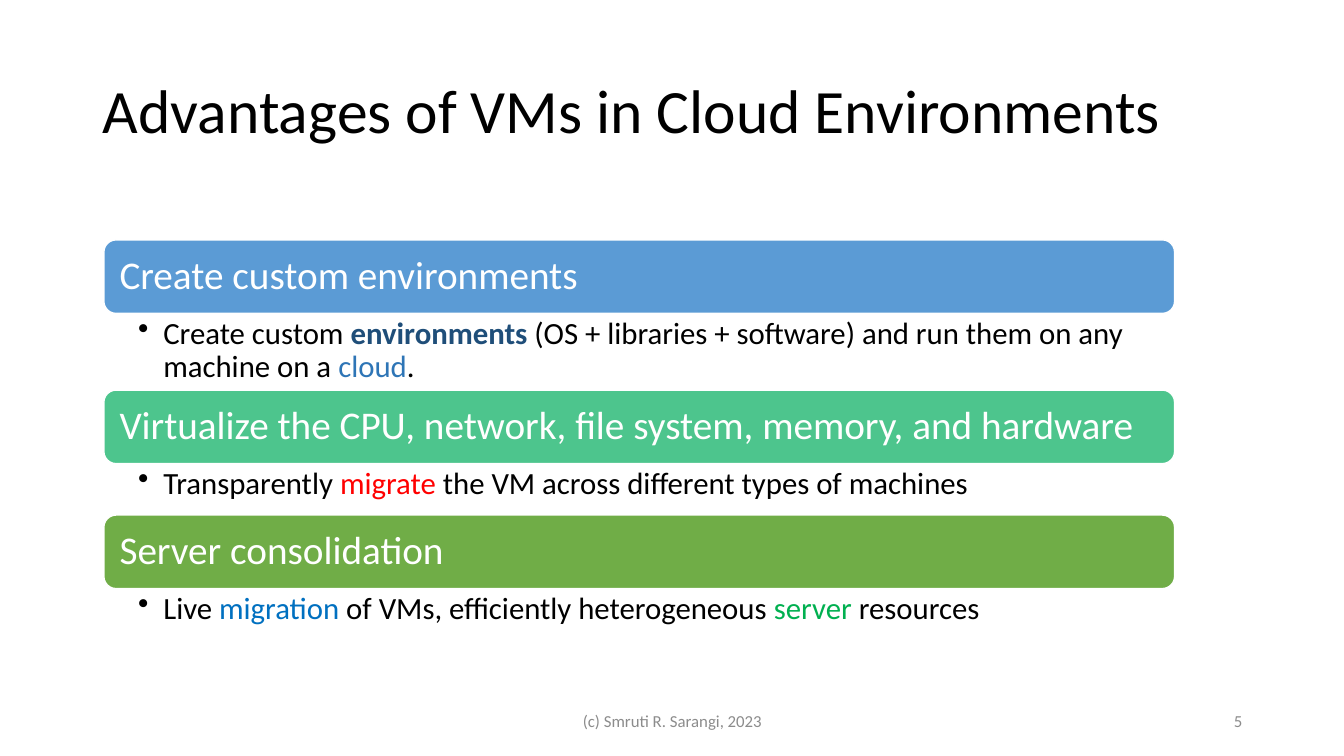
from dataclasses import dataclass

from lxml import etree
from pptx import Presentation
from pptx import util as u
from pptx.dml.color import RGBColor
from pptx.enum import shapes, text
from pptx.oxml import ns
from pptx.slide import Slide
from pptx.text.text import TextFrame, _Paragraph

FONT = "Calibri"
BLACK = RGBColor(0x00, 0x00, 0x00)
WHITE = RGBColor(0xFF, 0xFF, 0xFF)
GRAY = RGBColor(0x8C, 0x8C, 0x8C)
BLUE = RGBColor(0x5B, 0x9B, 0xD5)
TEAL = RGBColor(0x4D, 0xC5, 0x8D)
OLIVE = RGBColor(0x70, 0xAD, 0x47)
NAVY = RGBColor(0x1F, 0x4E, 0x79)
CLOUD_BLUE = RGBColor(0x2E, 0x75, 0xB6)
RED = RGBColor(0xFF, 0x00, 0x00)
BRIGHT_BLUE = RGBColor(0x00, 0x70, 0xC0)
GREEN = RGBColor(0x00, 0xB0, 0x50)

LIST_LEFT, LIST_TOP, LIST_WIDTH = 1.03, 2.38, 10.62
BAR_HEIGHT = 0.73


@dataclass(frozen=True)
class Piece:
    words: str
    color: RGBColor = BLACK
    bold: bool = False


@dataclass(frozen=True)
class Advantage:
    heading: str
    fill: RGBColor
    detail: tuple[Piece, ...]
    detail_height: float


@dataclass(frozen=True)
class FooterItem:
    words: str
    left: float
    width: float
    alignment: text.PP_ALIGN


ADVANTAGES = (
    Advantage("Create custom environments", BLUE, (
        Piece("Create custom "),
        Piece("environments", NAVY, True),
        Piece(" (OS + libraries + software) and run them on any machine on a "),
        Piece("cloud", CLOUD_BLUE),
        Piece("."),
    ), 0.76),
    Advantage("Virtualize the CPU, network, file system, memory, and hardware", TEAL, (
        Piece("Transparently "),
        Piece("migrate", RED),
        Piece(" the VM across different types of machines"),
    ), 0.51),
    Advantage("Server consolidation", OLIVE, (
        Piece("Live "),
        Piece("migration", BRIGHT_BLUE),
        Piece(" of VMs, efficiently heterogeneous "),
        Piece("server", GREEN),
        Piece(" resources"),
    ), 0.51),
)

FOOTER = (
    FooterItem("(c) Smruti R. Sarangi, 2023", 4.42, 4.5, text.PP_ALIGN.CENTER),
    FooterItem("5", 9.42, 3, text.PP_ALIGN.RIGHT),
)


def add_piece(paragraph: _Paragraph, piece: Piece, size: float) -> None:
    run = paragraph.add_run()
    run.text = piece.words
    run.font.name = FONT
    run.font.size = u.Pt(size)
    run.font.bold = piece.bold
    run.font.color.rgb = piece.color


def set_frame(frame: TextFrame, anchor: text.MSO_ANCHOR, left: float = 0.1,
              right: float = 0.1, vertical: float = 0.05) -> None:
    frame.word_wrap = True
    frame.auto_size = text.MSO_AUTO_SIZE.NONE
    frame.vertical_anchor = anchor
    frame.margin_left, frame.margin_right = u.Inches(left), u.Inches(right)
    frame.margin_top = frame.margin_bottom = u.Inches(vertical)


def add_bullet(paragraph: _Paragraph) -> None:
    paragraph.level = 1
    properties = paragraph._p.get_or_add_pPr()
    properties.set("marL", str(u.Inches(0.25)))
    properties.set("indent", str(u.Inches(-0.25)))
    etree.SubElement(properties, ns.qn("a:buChar")).set("char", "•")


def add_title(slide: Slide, words: str) -> None:
    title = slide.shapes.title
    title.left, title.top = u.Inches(0.92), u.Inches(0.4)
    title.width, title.height = u.Inches(11.5), u.Inches(1.45)
    set_frame(title.text_frame, text.MSO_ANCHOR.MIDDLE)
    paragraph = title.text_frame.paragraphs[0]
    paragraph.alignment = text.PP_ALIGN.LEFT
    paragraph.line_spacing = 0.9
    add_piece(paragraph, Piece(words), 44)


def add_bar(slide: Slide, advantage: Advantage, top: float) -> None:
    bar = slide.shapes.add_shape(
        shapes.MSO_SHAPE.ROUNDED_RECTANGLE, u.Inches(LIST_LEFT), u.Inches(top),
        u.Inches(LIST_WIDTH), u.Inches(BAR_HEIGHT))
    bar.shadow.inherit = False
    bar.fill.solid()
    bar.fill.fore_color.rgb = advantage.fill
    bar.line.color.rgb = WHITE
    bar.line.width = u.Pt(1)
    set_frame(bar.text_frame, text.MSO_ANCHOR.MIDDLE, 0.12, 0.12, 0.08)
    paragraph = bar.text_frame.paragraphs[0]
    paragraph.alignment = text.PP_ALIGN.LEFT
    paragraph.line_spacing = 0.9
    add_piece(paragraph, Piece(advantage.heading, WHITE), 28)


def add_detail(slide: Slide, advantage: Advantage, top: float) -> None:
    box = slide.shapes.add_textbox(
        u.Inches(LIST_LEFT), u.Inches(top),
        u.Inches(LIST_WIDTH), u.Inches(advantage.detail_height))
    set_frame(box.text_frame, text.MSO_ANCHOR.TOP, 0.34, 0.22, 0.04)
    paragraph = box.text_frame.paragraphs[0]
    paragraph.line_spacing = 0.9
    add_bullet(paragraph)
    for piece in advantage.detail:
        add_piece(paragraph, piece, 22)


def add_footer_item(slide: Slide, item: FooterItem) -> None:
    box = slide.shapes.add_textbox(
        u.Inches(item.left), u.Inches(6.95), u.Inches(item.width), u.Inches(0.4))
    set_frame(box.text_frame, text.MSO_ANCHOR.MIDDLE)
    paragraph = box.text_frame.paragraphs[0]
    paragraph.alignment = item.alignment
    add_piece(paragraph, Piece(item.words, GRAY), 12)


def main() -> None:
    presentation = Presentation()
    presentation.slide_width = u.Inches(13.33)
    presentation.slide_height = u.Inches(7.5)
    slide = presentation.slides.add_slide(presentation.slide_layouts[5])
    add_title(slide, "Advantages of VMs in Cloud Environments")
    top = LIST_TOP
    for advantage in ADVANTAGES:
        add_bar(slide, advantage, top)
        add_detail(slide, advantage, top + BAR_HEIGHT)
        top += BAR_HEIGHT + advantage.detail_height
    for item in FOOTER:
        add_footer_item(slide, item)
    presentation.save("out.pptx")


if __name__ == "__main__":
    main()
